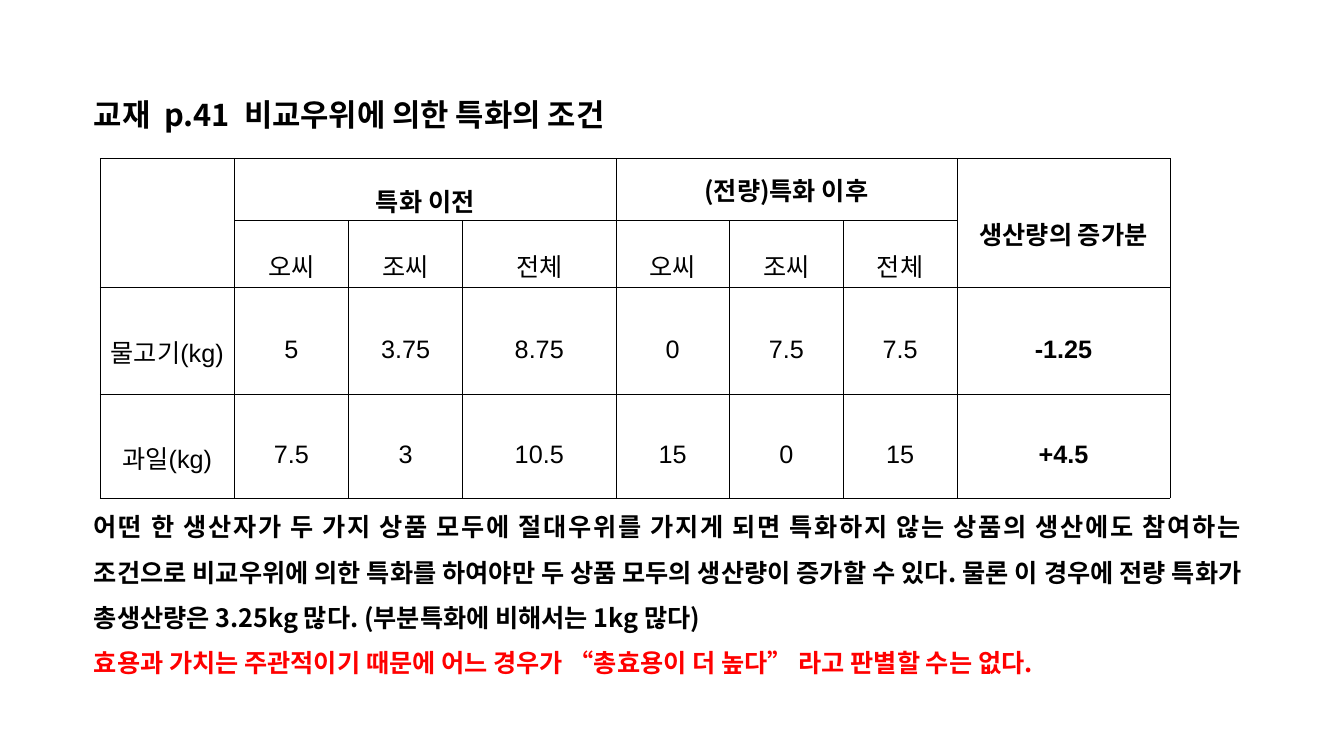
from pptx import Presentation
from pptx.dml.color import RGBColor
from pptx.enum.text import MSO_ANCHOR, PP_ALIGN
from pptx.oxml.ns import qn
from pptx.util import Pt
from lxml import etree

BLACK = RGBColor(0, 0, 0)
RED = RGBColor(255, 0, 0)
CENTER = PP_ALIGN.CENTER
JUSTIFY = PP_ALIGN.JUSTIFY
MIDDLE = MSO_ANCHOR.MIDDLE
KOREAN = "Noto Sans CJK KR"
LATIN = "Arial"

HEADING = "교재  p.41  비교우위에 의한 특화의 조건"
EXPLANATION = (
    "어떤 한 생산자가 두 가지 상품 모두에 절대우위를 가지게 되면 특화하지 않는 상품의 생산에도 참여하는 "
    "조건으로 비교우위에 의한 특화를 하여야만 두 상품 모두의 생산량이 증가할 수 있다. 물론 이 경우에 전량 "
    "특화가 총생산량은 3.25kg 많다. (부분특화에 비해서는 1kg 많다)"
)
CAVEAT = "효용과 가치는 주관적이기 때문에 어느 경우가 “총효용이 더 높다” 라고 판별할 수는 없다."

COLUMN_WIDTHS = [96, 81.5, 81.5, 109.5, 81, 81.5, 81, 152.5]
ROW_HEIGHTS = [44.5, 48, 76, 74.5]
PRODUCTION = [
    ["", "특화 이전", "", "", "(전량)특화 이후", "", "", "생산량의 증가분"],
    ["", "오씨", "조씨", "전체", "오씨", "조씨", "전체", ""],
    ["물고기(kg)", "5", "3.75", "8.75", "0", "7.5", "7.5", "-1.25"],
    ["과일(kg)", "7.5", "3", "10.5", "15", "0", "15", "+4.5"],
]
MERGES = [(0, 0, 1, 0), (0, 1, 0, 3), (0, 4, 0, 6), (0, 7, 1, 7)]


def write(paragraph, text, size=18, font=KOREAN, color=BLACK, bold=True,
          align=JUSTIFY, spacing=1.5):
    paragraph.alignment = align
    paragraph.line_spacing = spacing
    run = paragraph.add_run()
    run.text = text
    run.font.size = Pt(size)
    run.font.bold = bold
    run.font.color.rgb = color
    run.font.name = font
    etree.SubElement(run.font._element, qn("a:ea"), typeface=KOREAN)


def add_text(slide, left, top, width, height):
    frame = slide.shapes.add_textbox(Pt(left), Pt(top), Pt(width), Pt(height)).text_frame
    frame.word_wrap = True
    return frame


def add_borders(cell):
    properties = cell._tc.get_or_add_tcPr()
    for position, side in enumerate(("a:lnL", "a:lnR", "a:lnT", "a:lnB")):
        line = etree.Element(qn(side), w=str(Pt(0.28)))
        fill = etree.SubElement(line, qn("a:solidFill"))
        etree.SubElement(fill, qn("a:srgbClr"), val=str(BLACK))
        properties.insert(position, line)


def add_production_table(slide):
    table = slide.shapes.add_table(
        len(ROW_HEIGHTS), len(COLUMN_WIDTHS), Pt(71.5), Pt(113),
        Pt(sum(COLUMN_WIDTHS)), Pt(sum(ROW_HEIGHTS))).table
    table.first_row = table.horz_banding = False
    for column, width in zip(table.columns, COLUMN_WIDTHS):
        column.width = Pt(width)
    for row, height in zip(table.rows, ROW_HEIGHTS):
        row.height = Pt(height)
    for top, left, bottom, right in MERGES:
        table.cell(top, left).merge(table.cell(bottom, right))
    last = len(COLUMN_WIDTHS) - 1
    for r, values in enumerate(PRODUCTION):
        for c, value in enumerate(values):
            cell = table.cell(r, c)
            cell.fill.background()
            add_borders(cell)
            cell.vertical_anchor = MIDDLE
            cell.margin_left = cell.margin_right = Pt(5)
            cell.margin_top = cell.margin_bottom = Pt(1.4)
            if value:
                write(cell.text_frame.paragraphs[0], value,
                      font=KOREAN if r == 0 else LATIN,
                      bold=r == 0 or c == last, align=CENTER,
                      spacing=1 if value.startswith("(") else 1.6)


def main():
    deck = Presentation()
    deck.slide_width, deck.slide_height = Pt(960), Pt(540)
    slide = deck.slides.add_slide(deck.slide_layouts[6])
    heading = add_text(slide, 60, 52, 834, 50)
    write(heading.paragraphs[0], HEADING, size=22)
    add_production_table(slide)
    commentary = add_text(slide, 60, 351, 834, 137)
    write(commentary.paragraphs[0], EXPLANATION)
    write(commentary.add_paragraph(), CAVEAT, color=RED)
    deck.save("out.pptx")


if __name__ == "__main__":
    main()
